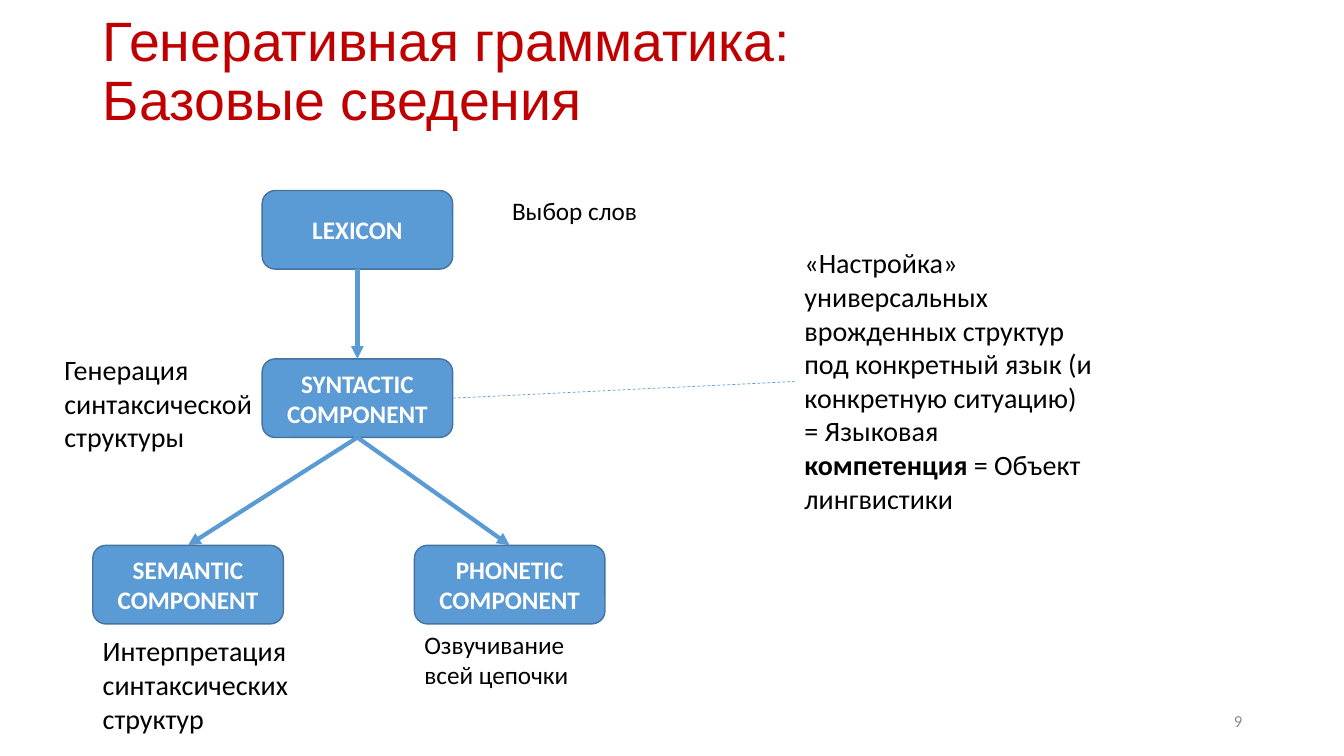
from dataclasses import dataclass

from lxml.etree import SubElement
from pptx import Presentation
from pptx.dml.color import RGBColor
from pptx.enum.dml import MSO_LINE
from pptx.enum.shapes import MSO_CONNECTOR, MSO_SHAPE
from pptx.enum.text import MSO_ANCHOR, MSO_AUTO_SIZE, PP_ALIGN
from pptx.oxml.ns import qn
from pptx.util import Inches, Pt


@dataclass(frozen=True)
class Theme:
    """Colours, fonts and type sizes of the slide."""
    title_red: RGBColor = RGBColor(0xC0, 0x00, 0x00)
    box_blue: RGBColor = RGBColor(0x5B, 0x9B, 0xD5)
    outline_blue: RGBColor = RGBColor(0x43, 0x73, 0x9E)
    white: RGBColor = RGBColor(0xFF, 0xFF, 0xFF)
    black: RGBColor = RGBColor(0x00, 0x00, 0x00)
    grey: RGBColor = RGBColor(0x8C, 0x8C, 0x8C)
    title_font: str = "Arial"
    body_font: str = "Calibri"
    title_size: Pt = Pt(39.6)
    note_size: Pt = Pt(20)
    label_size: Pt = Pt(18)
    number_size: Pt = Pt(12)


THEME = Theme()
TOP, LEFT, BOTTOM, RIGHT = range(4)
BOX_SIZE = (1.89, 0.78)


def set_values(target, values):
    """Set each attribute of the target from a dict of format values."""
    for name, value in values.items():
        setattr(target, name, value)


def place(shape, left, top, width, height):
    """Move and size a shape, in inches."""
    lengths = zip(("left", "top", "width", "height"), (left, top, width, height))
    set_values(shape, {name: Inches(length) for name, length in lengths})


def add_run(paragraph, text, size, color, font=THEME.body_font, bold=False):
    """Append a formatted run to a paragraph."""
    run = paragraph.add_run()
    run.text = text
    set_values(run.font, {"name": font, "size": size, "bold": bold})
    run.font.color.rgb = color


def add_title(slide, text):
    """Fill the title placeholder."""
    title = slide.shapes.title
    place(title, 0.92, 0.24, 11.5, 0.97)
    set_values(title.text_frame, {
        "vertical_anchor": MSO_ANCHOR.MIDDLE,
        "word_wrap": True,
        "auto_size": MSO_AUTO_SIZE.NONE,
    })
    title.text_frame.text = text
    heading = title.text_frame.paragraphs[0]
    set_values(heading, {"alignment": PP_ALIGN.LEFT, "line_spacing": 0.9})
    for run in heading.runs:
        set_values(run.font, {"name": THEME.title_font, "size": THEME.title_size})
        run.font.color.rgb = THEME.title_red


def add_component(slide, left, top, text):
    """Draw a rounded box for one component of the grammar."""
    component = slide.shapes.add_shape(MSO_SHAPE.ROUNDED_RECTANGLE, 0, 0, 0, 0)
    place(component, left, top, *BOX_SIZE)
    component.shadow.inherit = False
    component.fill.solid()
    component.fill.fore_color.rgb = THEME.box_blue
    component.line.color.rgb = THEME.outline_blue
    component.line.width = Pt(1)
    set_values(component.text_frame, {
        "vertical_anchor": MSO_ANCHOR.MIDDLE, "word_wrap": True})
    label = component.text_frame.paragraphs[0]
    label.alignment = PP_ALIGN.CENTER
    add_run(label, text, THEME.label_size, THEME.white, bold=True)
    return component


def add_note(slide, position, parts, size, color=THEME.black,
             alignment=PP_ALIGN.LEFT, anchor=MSO_ANCHOR.TOP):
    """Add a text box from (text, bold) parts."""
    note = slide.shapes.add_textbox(0, 0, 0, 0)
    place(note, *position)
    set_values(note.text_frame, {"word_wrap": True, "vertical_anchor": anchor})
    paragraph = note.text_frame.paragraphs[0]
    paragraph.alignment = alignment
    for text, bold in parts:
        add_run(paragraph, text, size, color, bold=bold)
    return note


def add_link(slide, source, source_side, target, target_side, width):
    """Join two shapes with a plain connector."""
    link = slide.shapes.add_connector(MSO_CONNECTOR.STRAIGHT, 0, 0, 0, 0)
    link.begin_connect(source, source_side)
    link.end_connect(target, target_side)
    link.line.color.rgb = THEME.box_blue
    link.line.width = width
    SubElement(link._element.spPr, qn("a:effectLst"))
    return link


def add_arrow(slide, source, target):
    """Join two components from bottom to top with an arrow."""
    arrow = add_link(slide, source, BOTTOM, target, TOP, Pt(3))
    SubElement(arrow.line._get_or_add_ln(), qn("a:tailEnd"), type="triangle")


def main():
    """Build the slide and save it."""
    presentation = Presentation()
    set_values(presentation, {
        "slide_width": Inches(13.33), "slide_height": Inches(7.5)})
    slide = presentation.slides.add_slide(presentation.slide_layouts[5])
    add_title(slide, "Генеративная грамматика:\vБазовые сведения")

    lexicon = add_component(slide, 2.6, 1.89, "LEXICON")
    syntax = add_component(slide, 2.6, 3.56, "SYNTACTIC COMPONENT")
    semantics = add_component(slide, 0.92, 5.41, "SEMANTIC COMPONENT")
    phonetics = add_component(slide, 4.11, 5.41, "PHONETIC COMPONENT")
    for source, target in (
            (lexicon, syntax), (syntax, semantics), (syntax, phonetics)):
        add_arrow(slide, source, target)

    for position, text, size in (
        ((4.98, 1.89, 2.05, 0.4), "Выбор слов", THEME.label_size),
        ((0.54, 3.45, 2.08, 1.11), "Генерация синтаксической структуры",
         THEME.note_size),
        ((0.92, 6.24, 2.05, 1.11), "Интерпретация синтаксических структур",
         THEME.note_size),
        ((4.11, 6.19, 2.05, 0.71), "Озвучивание всей цепочки",
         THEME.label_size),
    ):
        add_note(slide, position, [(text, False)], size)

    competence = add_note(slide, (7.88, 2.39, 3.08, 2.79), [
        ("«Настройка» универсальных врожденных структур под конкретный язык "
         "(и конкретную ситуацию) = Языковая ", False),
        ("компетенция", True),
        (" = Объект лингвистики", False),
    ], THEME.note_size)
    setting = add_link(slide, syntax, RIGHT, competence, LEFT, Pt(0.5))
    setting.line.dash_style = MSO_LINE.DASH

    add_note(slide, (9.42, 6.95, 3, 0.4), [("9", False)], THEME.number_size,
             THEME.grey, PP_ALIGN.RIGHT, MSO_ANCHOR.MIDDLE)
    presentation.save("out.pptx")


if __name__ == "__main__":
    main()
